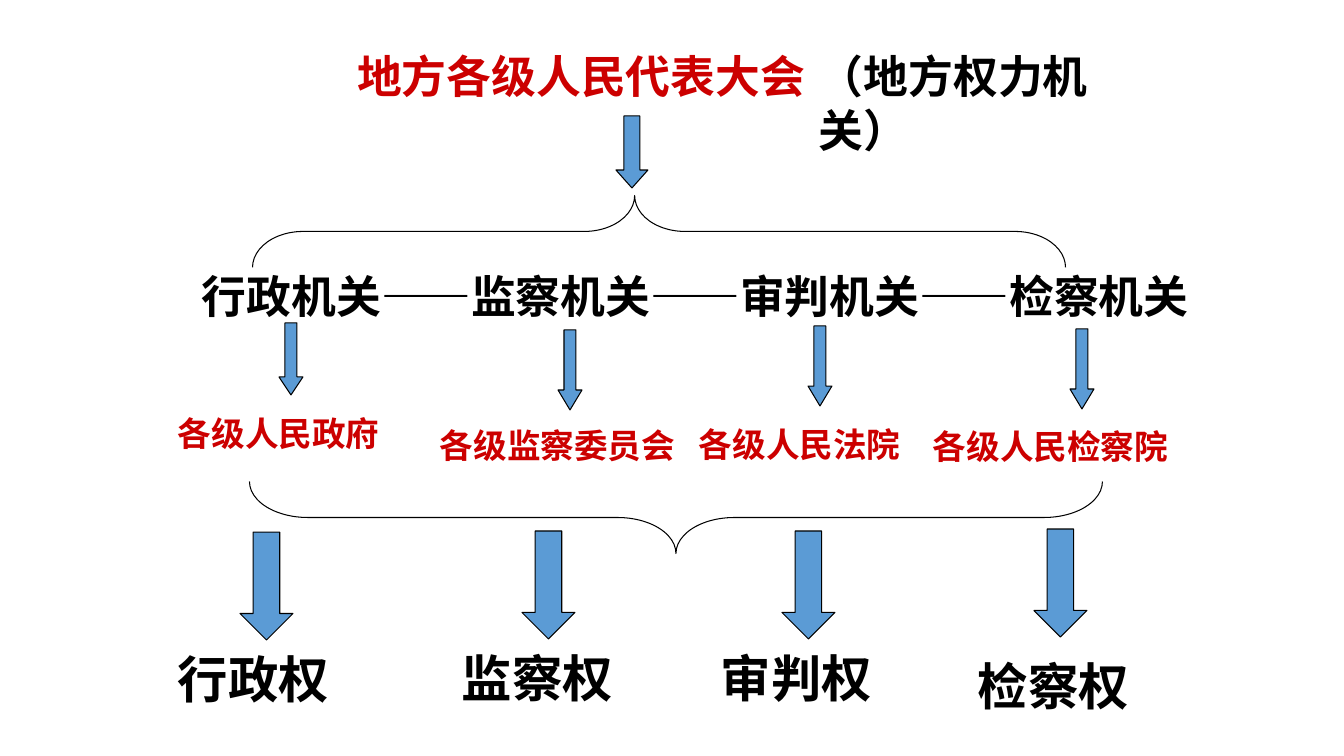
from dataclasses import dataclass

from pptx import Presentation, util as u
from pptx.dml.color import RGBColor
from pptx.enum import shapes, text

# Content: boxes are left, top, width, height in px
ASSEMBLY = ("地方各级人民代表大会", (347, 44, 674, 65))
ASSEMBLY_ROLE = ("（地方权力机关）", (809, 44, 366, 65))
ASSEMBLY_ARROW = ((616, 116, 32, 72), 0.56)

ORGANS_BOX = (192, 264, 1013, 146)
ORGANS = [  # wording, whether it is set in the linking font
    ("行政机关", False), ("——", True), ("监察机关", False), ("——审判", True),
    ("机关", False), ("——", True), ("检察机关", False),
]

BRANCHES = [
    dict(body="各级人民政府", body_box=(168, 408, 294, 50),
         body_arrow=((279, 323, 24, 72), 0.75), power_arrow=(240, 532),
         power="行政权", power_box=(168, 643, 207, 72)),
    dict(body="各级监察委员会", body_box=(430, 420, 294, 50),
         body_arrow=((558, 330, 24, 80), 0.83), power_arrow=(522, 531),
         power="监察权", power_box=(452, 642, 207, 72)),
    dict(body="各级人民法院", body_box=(689, 419, 318, 50),
         body_arrow=((808, 326, 24, 80), 0.83), power_arrow=(782, 531),
         power="审判权", power_box=(711, 642, 238, 72)),
    dict(body="各级人民检察院", body_box=(923, 421, 353, 50),
         body_arrow=((1070, 329, 24, 80), 0.83), power_arrow=(1034, 529),
         power="检察权", power_box=(968, 650, 274, 72)),
]
POWER_ARROW_SIZE = (53, 108)

BRACES = [  # box before turning, rotation, curve, point
    ((623, -175, 72, 813), 90, 0.7, 0.53),
    ((640, 91, 72, 853), 270, 0.81, 0.5),
]


@dataclass(frozen=True)
class Theme:
    red: RGBColor = RGBColor(0xCC, 0x00, 0x00)
    black: RGBColor = RGBColor(0, 0, 0)
    blue: RGBColor = RGBColor(0x5B, 0x9B, 0xD5)
    main: str = "Lato"
    linking: str = "Calibri"
    power: str = "Times New Roman"
    heading_size: int = 32
    body_size: int = 24
    power_size: int = 36
    outline: float = 0.75


THEME = Theme()
PX_PER_INCH = 100.8


def px(length):
    return u.Emu(round(length * u.Inches(1) / PX_PER_INCH))


def place(box):
    return [px(length) for length in box]


prs = Presentation()
prs.slide_width, prs.slide_height = px(1344), px(756)
slide = prs.slides.add_slide(prs.slide_layouts[5])


def write(box, runs, size=THEME.heading_size, color=THEME.black,
          font=THEME.main, holder=None):
    """Write a string, or (wording, font) pairs, into a box."""
    holder = holder or slide.shapes.add_textbox(*place(box))
    holder.left, holder.top, holder.width, holder.height = place(box)
    frame = holder.text_frame
    frame.word_wrap = True
    frame.auto_size = text.MSO_AUTO_SIZE.NONE
    frame.vertical_anchor = text.MSO_ANCHOR.TOP
    paragraph = frame.paragraphs[0]
    paragraph.alignment = text.PP_ALIGN.LEFT
    paragraph.line_spacing = 1.0
    paragraph.space_before = u.Pt(0)
    if isinstance(runs, str):
        runs = [(runs, font)]
    for wording, run_font in runs:
        run = paragraph.add_run()
        run.text = wording
        run.font.name = run_font
        run.font.size = u.Pt(size)
        run.font.bold = True
        run.font.color.rgb = color


def draw(kind, box, adjustments, fill=None, rotation=0):
    shape = slide.shapes.add_shape(kind, *place(box))
    shape.shadow.inherit = False
    shape.rotation = rotation
    for index, value in enumerate(adjustments):
        shape.adjustments[index] = value
    if fill is None:
        shape.fill.background()
    else:
        shape.fill.solid()
        shape.fill.fore_color.rgb = fill
    shape.line.color.rgb = THEME.black
    shape.line.width = u.Pt(THEME.outline)


def down_arrow(box, head=0.5):
    draw(shapes.MSO_SHAPE.DOWN_ARROW, box, (0.5, head), fill=THEME.blue)


# Assembly at the top
assembly, assembly_box = ASSEMBLY
write(assembly_box, assembly, color=THEME.red, holder=slide.shapes.title)
role, role_box = ASSEMBLY_ROLE
write(role_box, role)
down_arrow(*ASSEMBLY_ARROW)

# Row of organs
write(ORGANS_BOX, [(wording, THEME.linking if linking else THEME.main)
                   for wording, linking in ORGANS])

# Braces above and below the bodies
for brace_box, rotation, curve, point in BRACES:
    draw(shapes.MSO_SHAPE.LEFT_BRACE, brace_box, (curve, point),
         rotation=rotation)

# Branches: body and power, each under its arrow
for branch in BRANCHES:
    down_arrow(*branch["body_arrow"])
    write(branch["body_box"], branch["body"], size=THEME.body_size,
          color=THEME.red)
    down_arrow(branch["power_arrow"] + POWER_ARROW_SIZE)
    write(branch["power_box"], branch["power"], size=THEME.power_size,
          font=THEME.power)

prs.save("out.pptx")
